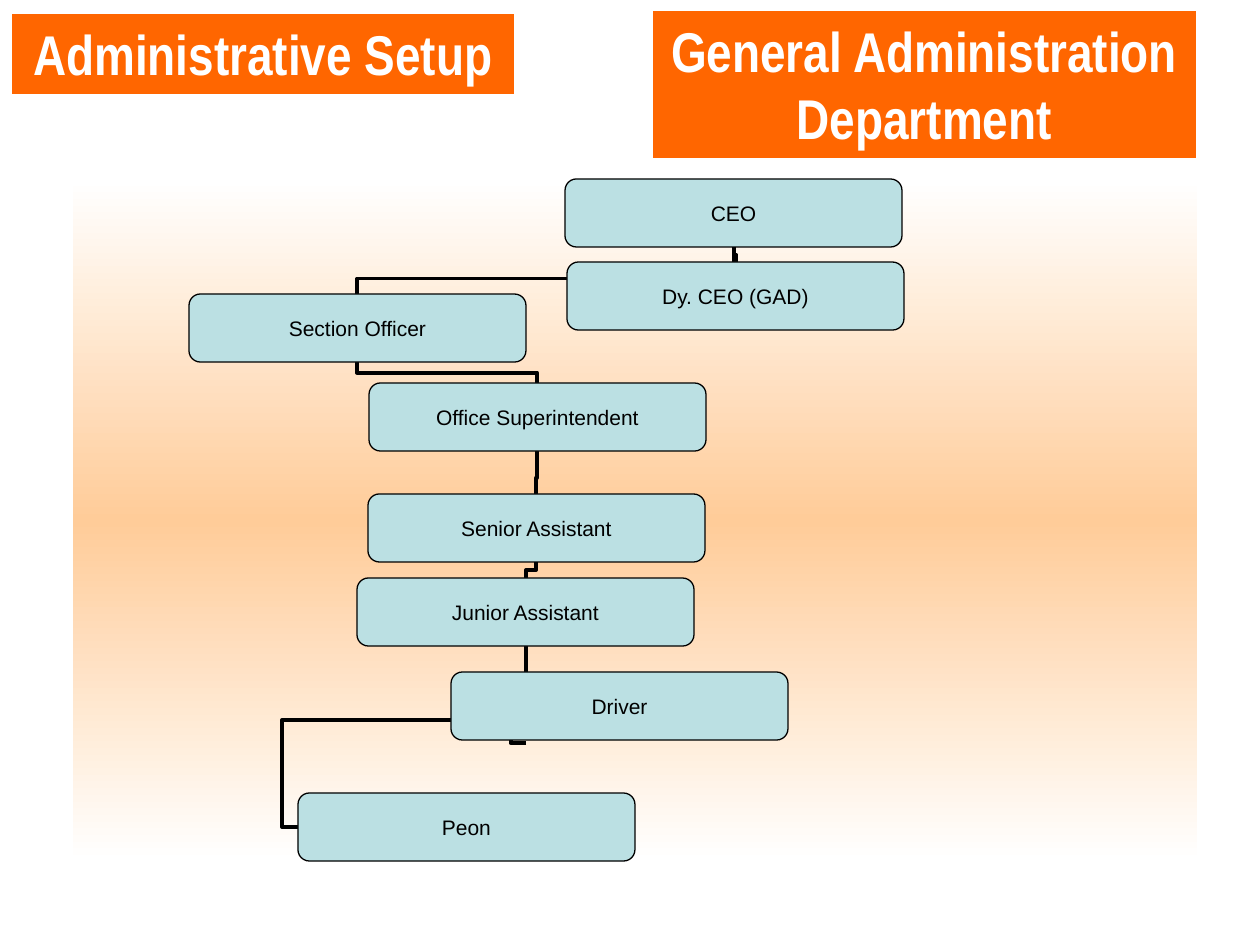
from copy import deepcopy
from dataclasses import dataclass

from pptx import Presentation
from pptx.dml.color import RGBColor
from pptx.enum.shapes import MSO_CONNECTOR, MSO_SHAPE
from pptx.enum.text import MSO_ANCHOR, PP_ALIGN
from pptx.oxml.ns import qn
from pptx.oxml.xmlchemy import OxmlElement
from pptx.util import Pt

PX_PER_INCH = 126
BOX_W, BOX_H = 337, 68


@dataclass
class Post:
    name: str
    x: int
    y: int


@dataclass
class Link:
    x1: int
    y1: int
    x2: int
    y2: int
    adjs: tuple[float, ...] = (0.5,)


@dataclass
class Banner:
    text: str
    x: int
    y: int
    w: int
    h: int


POSTS = [
    Post("CEO", 565, 179),
    Post("Senior Assistant", 368, 494),
    Post("Section Officer", 189, 294),
    Post("Office Superintendent", 369, 383),
    Post("Junior Assistant", 357, 578),
    Post("Driver", 451, 672),
    Post("Peon", 298, 793),
    Post("Dy. CEO (GAD)", 567, 262),
]
LINKS = [
    Link(736, 262, 734, 247),
    Link(298, 827, 526, 646, (-0.07, 0.59)),
    Link(526, 743, 746, 672, (-0.07, 0.74)),
    Link(526, 578, 536, 562),
    Link(536, 494, 537, 451, (0.38,)),
    Link(537, 383, 357, 362),
    Link(357, 294, 734, 247, (0.33,)),
]
HEADING = Banner("Administrative Setup", 11, 13, 504, 82)
DEPARTMENT = Banner("General Administration Department", 652, 10, 545, 149)


def px(n: float) -> int:
    return round(n * 914400 / PX_PER_INCH)


def rgb(value: str) -> RGBColor:
    return RGBColor.from_string(value)


def paint(sp, fill: str, line: str, width: float) -> None:
    sp.fill.solid()
    sp.fill.fore_color.rgb = rgb(fill)
    sp.line.color.rgb = rgb(line)
    sp.line.width = Pt(width)


def write(sp, text: str, font: str, size: int, color: str, bold: bool) -> None:
    p = sp.text_frame.paragraphs[0]
    p.text = text
    p.alignment = PP_ALIGN.CENTER
    p.space_before = Pt(0)
    p.font.name = font
    p.font.size = Pt(size)
    p.font.bold = bold
    p.font.color.rgb = rgb(color)


def add_shape(s, kind, x: int, y: int, w: int, h: int):
    sp = s.shapes.add_shape(kind, px(x), px(y), px(w), px(h))
    sp.shadow.inherit = False
    return sp


def draw_banner(sp, banner: Banner) -> None:
    sp.left, sp.top = px(banner.x), px(banner.y)
    sp.width, sp.height = px(banner.w), px(banner.h)
    paint(sp, "FF6600", "FFFFFF", 1)
    tf = sp.text_frame
    tf.word_wrap = True
    tf.vertical_anchor = MSO_ANCHOR.TOP
    write(sp, banner.text, "Arial Narrow", 32, "FFFFFF", True)


def draw_backdrop(s) -> None:
    sp = add_shape(s, MSO_SHAPE.RECTANGLE, 73, 179, 1124, 683)
    sp.line.fill.background()
    sp.fill.gradient()
    sp.fill.gradient_angle = 270
    stops = sp._element.spPr.find(qn("a:gradFill")).find(qn("a:gsLst"))
    stops.insert(1, deepcopy(stops[0]))
    for stop, pos, color in zip(
        sp.fill.gradient_stops, (0, 0.5, 1), ("FFFFFF", "FFCC99", "FFFFFF")
    ):
        stop.position = pos
        stop.color.rgb = rgb(color)


def draw_link(s, link: Link) -> None:
    dx, dy = abs(link.x2 - link.x1), abs(link.y2 - link.y1)
    sideways = len(link.adjs) == 2
    leftward = link.x2 < link.x1
    w, h = (dx, dy) if sideways else (dy, dx)
    x = (link.x1 + link.x2 - w) / 2
    y = (link.y1 + link.y2 - h) / 2
    c = s.shapes.add_connector(
        MSO_CONNECTOR.ELBOW, px(x), px(y), px(x + w), px(y + h)
    )
    c.line.color.rgb = rgb("000000")
    c.line.width = Pt(2.25)
    spPr = c._element.spPr
    spPr.append(OxmlElement("a:effectLst"))
    xfrm = spPr.find(qn("a:xfrm"))
    angle = 180 if sideways else 90 if leftward else 270
    xfrm.set("rot", str(angle * 60000))
    if sideways or leftward:
        xfrm.set("flipH", "1")
    geom = spPr.find(qn("a:prstGeom"))
    geom.set("prst", f"bentConnector{len(link.adjs) + 2}")
    guides = geom.find(qn("a:avLst"))
    for i, adj in enumerate(link.adjs, 1):
        gd = OxmlElement("a:gd")
        gd.set("name", f"adj{i}")
        gd.set("fmla", f"val {round(adj * 100000)}")
        guides.append(gd)


def draw_post(s, post: Post) -> None:
    sp = add_shape(s, MSO_SHAPE.ROUNDED_RECTANGLE, post.x, post.y, BOX_W, BOX_H)
    paint(sp, "BBE0E3", "000000", 0.75)
    tf = sp.text_frame
    tf.margin_left = tf.margin_right = tf.margin_top = tf.margin_bottom = 0
    tf.word_wrap = False
    tf.vertical_anchor = MSO_ANCHOR.MIDDLE
    write(sp, post.name, "Arial", 12, "000000", False)


def main() -> None:
    prs = Presentation()
    prs.slide_width, prs.slide_height = px(1260), px(945)
    s = prs.slides.add_slide(prs.slide_layouts[5])
    draw_banner(s.shapes.title, HEADING)
    draw_backdrop(s)
    for link in LINKS:
        draw_link(s, link)
    for post in POSTS:
        draw_post(s, post)
    box = add_shape(s, MSO_SHAPE.RECTANGLE, 652, 10, 545, 149)
    draw_banner(box, DEPARTMENT)
    prs.save("out.pptx")


if __name__ == "__main__":
    main()
